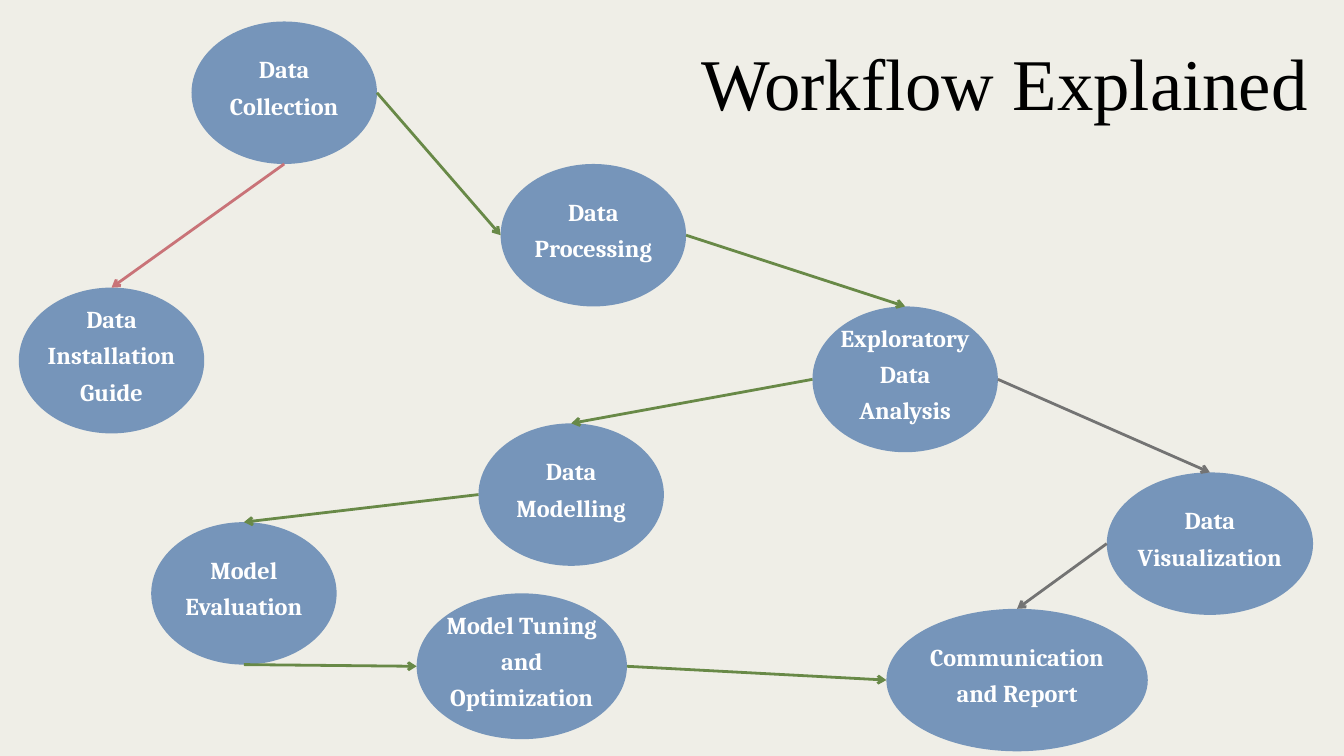
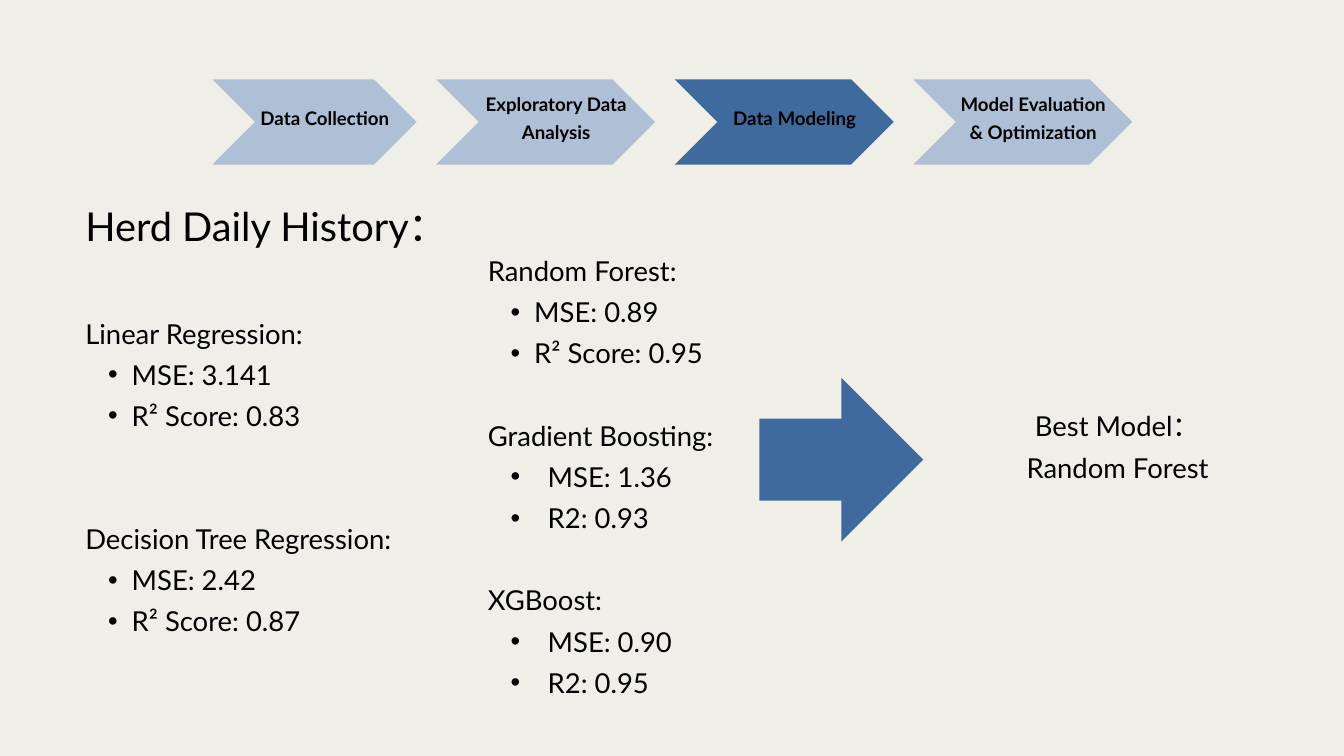
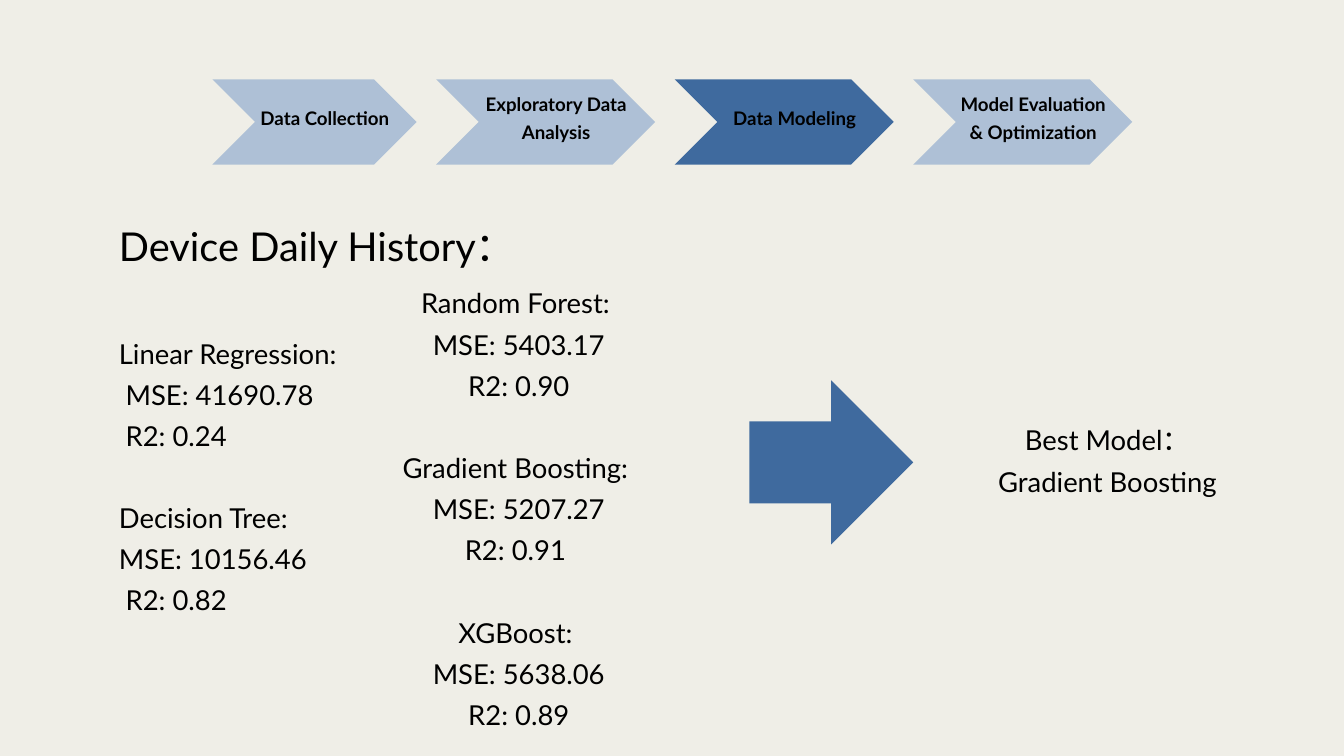
from collections import namedtuple

from lxml import etree
from pptx import Presentation
from pptx.dml.color import RGBColor
from pptx.enum.shapes import MSO_CONNECTOR, MSO_SHAPE
from pptx.enum.text import MSO_ANCHOR, PP_ALIGN
from pptx.oxml.ns import qn
from pptx.util import Inches, Pt

# Shared look
PAPER, INK, WHITE = "EFEEE7", "000000", "FFFFFF"
NODE_BLUE, STEP_BLUE, ACTIVE_BLUE = "7695BA", "AEC0D6", "3F6A9E"
GREEN, RED, GREY = "688947", "C97378", "737373"
BODY_SIZE, HEADING_SIZE, HEADING_LEADING = 29.4, 42.6, 63.8

# Workflow nodes: left, top, width, height
NODES = {
    "Data Collection": (2.85, 0.32, 2.76, 2.12),
    "Data Processing": (7.45, 2.44, 2.76, 2.12),
    "Exploratory Data Analysis": (12.09, 4.56, 2.76, 2.17),
    "Data Modelling": (7.12, 6.3, 2.76, 2.12),
    "Model Evaluation": (2.25, 7.77, 2.76, 2.12),
    "Model Tuning and Optimization": (6.2, 8.83, 3.13, 2.17),
    "Data Visualization": (16.47, 7.03, 3.07, 2.12),
    "Communication and Report": (13.19, 9.06, 3.89, 2.12),
    "Data Installation Guide": (0.28, 4.28, 2.76, 2.17),
}
LINKS = [
    ("Data Collection", "right", "Data Processing", "left", GREEN),
    ("Data Collection", "bottom", "Data Installation Guide", "top", RED),
    ("Data Processing", "right", "Exploratory Data Analysis", "top", GREEN),
    ("Exploratory Data Analysis", "left", "Data Modelling", "top", GREEN),
    ("Data Modelling", "left", "Model Evaluation", "top", GREEN),
    ("Model Evaluation", "bottom", "Model Tuning and Optimization", "left", GREEN),
    ("Model Tuning and Optimization", "right", "Communication and Report", "left", GREEN),
    ("Exploratory Data Analysis", "right", "Data Visualization", "top", GREY),
    ("Data Visualization", "left", "Communication and Report", "top", GREY),
]
SIDES = {"left": (0, 0.5), "right": (1, 0.5), "top": (0.5, 0), "bottom": (0.5, 1)}

# Process steps: label, width
STEPS = [
    ("Data Collection", 3.04),
    ("Exploratory Data Analysis", 3.26),
    ("Data Modeling", 3.26),
    ("Model Evaluation & Optimization", 3.26),
]
ACTIVE_STEP = "Data Modeling"

# A model's scores; gap is the space above its name in points
Model = namedtuple("Model", "name scores indents gap bullets", defaults=(0, False))
NARROW, WIDE = (0.69, 0.69), (0.89, 0.89)
BULLET_AT = 0.34

HERD_LEFT = [
    Model("Linear Regression:", ("MSE: 3.141", "R² Score: 0.83"), NARROW, 63.8, True),
    Model("Decision Tree Regression:", ("MSE: 2.42", "R² Score: 0.87"), NARROW, 88, True),
]
HERD_RIGHT = [
    Model("Random Forest:", ("MSE: 0.89", "R² Score: 0.95"), NARROW, 0, True),
    Model("Gradient Boosting:", ("MSE: 1.36", "R2: 0.93"), WIDE, 44.1, True),
    Model("XGBoost:", ("MSE: 0.90", "R2: 0.95"), WIDE, 44.1, True),
]
DEVICE_LEFT = [
    Model("Linear Regression:", ("MSE: 41690.78", "R2: 0.24"), (0.1, 0.1), 63.8),
    Model("Decision Tree:", ("MSE: 10156.46", "R2: 0.82"), (0, 0.1), 44),
]
DEVICE_RIGHT = [
    Model("Random Forest:", ("MSE: 5403.17", "R2: 0.90"), (0.1, 0.1)),
    Model("Gradient Boosting:", ("MSE: 5207.27", "R2: 0.91"), (0.1, 0), 44.1),
    Model("XGBoost:", ("MSE: 5638.06", "R2: 0.89"), (0.1, 0.1), 44.1),
]


def color(hex_code):
    return RGBColor.from_string(hex_code)


def new_slide(prs):
    slide = prs.slides.add_slide(prs.slide_layouts[6])
    slide.background.fill.solid()
    slide.background.fill.fore_color.rgb = color(PAPER)
    return slide


def add_block(slide, preset, box, fill):
    block = slide.shapes.add_shape(preset, *map(Inches, box))
    block.shadow.inherit = False
    block.fill.solid()
    block.fill.fore_color.rgb = color(fill)
    block.line.fill.background()


# Text
def add_frame(slide, box, inset=0, anchor=MSO_ANCHOR.TOP):
    frame = slide.shapes.add_textbox(*map(Inches, box)).text_frame
    frame.word_wrap = True
    frame.vertical_anchor = anchor
    frame.margin_left = frame.margin_right = Inches(inset)
    frame.margin_top = frame.margin_bottom = Inches(inset)
    return frame


def add_line(frame, text, size, leading, align, font="Lato", ink=INK, bold=False,
             gap=0, indent=0, bullet=False):
    first = frame.paragraphs[0]
    paragraph = frame.add_paragraph() if first.runs else first
    if indent:
        props = paragraph._p.get_or_add_pPr()
        props.set("marL", str(Inches(indent)))
        props.set("indent", str(Inches(BULLET_AT - indent) if bullet else 0))
        if bullet:
            etree.SubElement(props, qn("a:buFont")).set("typeface", "Arial")
            etree.SubElement(props, qn("a:buChar")).set("char", "•")
    paragraph.alignment = align
    paragraph.line_spacing = Pt(leading)
    if gap:
        paragraph.space_before = Pt(gap)
    run = paragraph.add_run()
    run.text = text
    run.font.name, run.font.size, run.font.bold = font, Pt(size), bold
    run.font.color.rgb = color(ink)


def add_label(slide, box, text, size, leading, font, ink):
    frame = add_frame(slide, box, 0.06, MSO_ANCHOR.MIDDLE)
    add_line(frame, text, size, leading, PP_ALIGN.CENTER, font, ink, bold=True)


# Workflow
def add_node(slide, text, box):
    left, top, width, height = box
    add_block(slide, MSO_SHAPE.OVAL, box, NODE_BLUE)
    label_box = (left + 0.094 * width, top - 0.06, 0.812 * width, 0.93 * height)
    add_label(slide, label_box, text, 26, 39, "Cambria", WHITE)


def side_point(node, side):
    left, top, width, height = NODES[node]
    across, down = SIDES[side]
    return Inches(left + across * width), Inches(top + down * height)


def add_link(slide, source, exit_side, target, entry_side, ink):
    link = slide.shapes.add_connector(
        MSO_CONNECTOR.STRAIGHT, *side_point(source, exit_side), *side_point(target, entry_side))
    link.line.color.rgb = color(ink)
    link.line.width = Pt(3)
    etree.SubElement(link.line._get_or_add_ln(), qn("a:tailEnd")).set("type", "arrow")
    etree.SubElement(link._element.spPr, qn("a:effectLst"))


# Model results
def add_steps(slide):
    left, gap = 3.16, 0.29
    for text, width in STEPS:
        fill = ACTIVE_BLUE if text == ACTIVE_STEP else STEP_BLUE
        add_block(slide, MSO_SHAPE.CHEVRON, (left, 1.18, width, 1.27), fill)
        add_label(slide, (left + 0.55, 0.97, width - 0.79, 1.48), text, 20, 30, "Lato", INK)
        left += width + gap


def add_scores(slide, box, models, leading, align, heading=None):
    frame = add_frame(slide, box)
    if heading:
        add_line(frame, heading, HEADING_SIZE, HEADING_LEADING, align)
    for model in models:
        add_line(frame, model.name, BODY_SIZE, leading, align, gap=model.gap)
        for score, indent in zip(model.scores, model.indents):
            add_line(frame, score, BODY_SIZE, leading, align,
                     indent=indent, bullet=model.bullets)


def add_verdict(slide, arrow_left, arrow_top, text_top, best):
    arrow_size = 2.44
    add_block(slide, MSO_SHAPE.RIGHT_ARROW,
              (arrow_left, arrow_top, arrow_size, arrow_size), ACTIVE_BLUE)
    frame = add_frame(slide, (arrow_left + arrow_size, text_top, 5.78, 1.8))
    for text in ("Best Model：", best):
        add_line(frame, text, BODY_SIZE, 44.1, PP_ALIGN.CENTER)


def main():
    prs = Presentation()
    prs.slide_width, prs.slide_height = Inches(20), Inches(11.25)

    # Workflow overview
    workflow = new_slide(prs)
    for text, box in NODES.items():
        add_node(workflow, text, box)
    for link in LINKS:
        add_link(workflow, *link)
    title = add_frame(workflow, (10.21, 0.24, 9.48, 1.53))
    add_line(title, "Workflow Explained", 78, 117, PP_ALIGN.CENTER, "Times New Roman")

    # Herd models
    herd = new_slide(prs)
    add_steps(herd)
    add_scores(herd, (1.27, 2.82, 5.83, 8.2), HERD_LEFT, 44, PP_ALIGN.JUSTIFY,
               "Herd Daily History：")
    add_scores(herd, (7.26, 3.66, 3.68, 7.4), HERD_RIGHT, 44.1, PP_ALIGN.JUSTIFY)
    add_verdict(herd, 11.3, 5.62, 5.97, "Random Forest")

    # Device models
    device = new_slide(prs)
    add_steps(device)
    add_scores(device, (1.77, 3.12, 14.14, 7.18), DEVICE_LEFT, 44, PP_ALIGN.JUSTIFY,
               "Device Daily History：")
    add_scores(device, (4.78, 4.14, 5.78, 7), DEVICE_RIGHT, 44.1, PP_ALIGN.CENTER)
    add_verdict(device, 11.15, 5.66, 6.18, "Gradient Boosting")

    prs.save("out.pptx")


if __name__ == "__main__":
    main()
